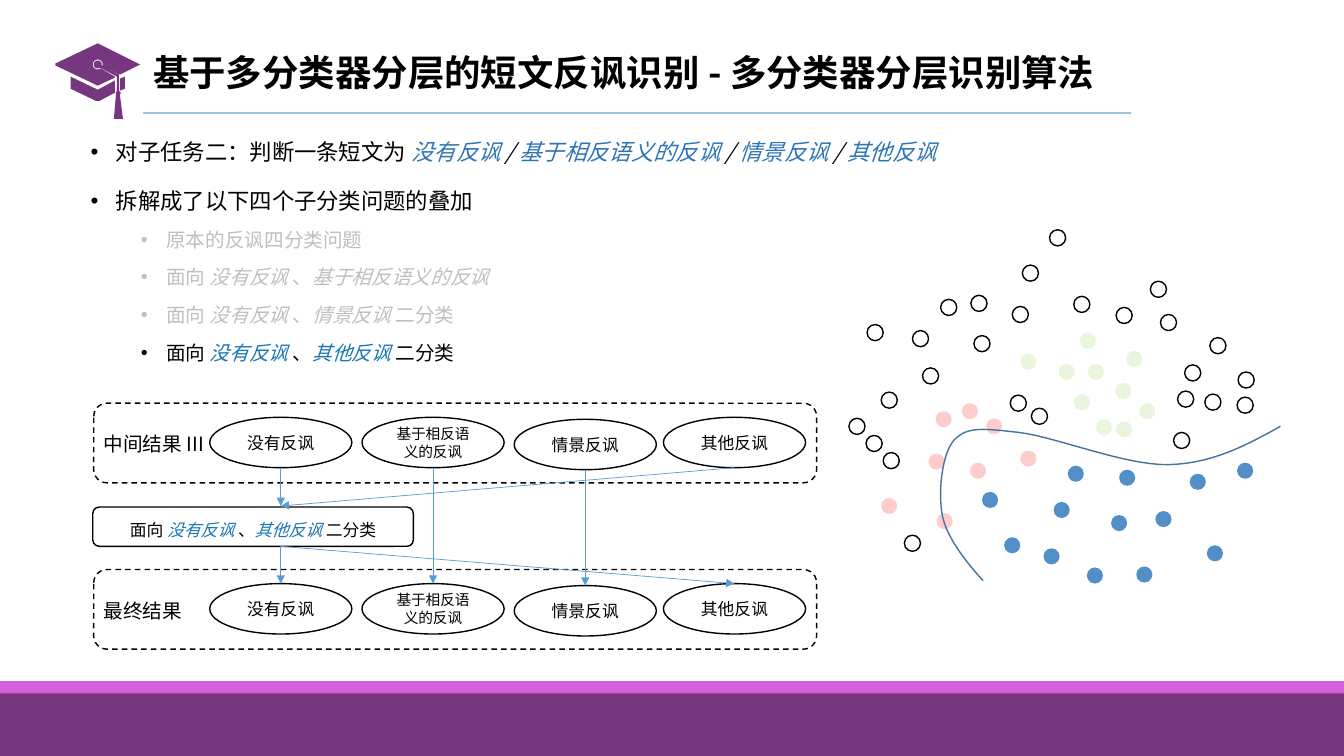
from dataclasses import dataclass
from math import cos, radians, sin

from lxml import etree
from pptx import Presentation
from pptx import util as u
from pptx.dml.color import RGBColor
from pptx.enum import dml, shapes, text
from pptx.oxml.ns import qn


@dataclass(frozen=True)
class Theme:
    font: str = "Noto Sans CJK SC"
    black: str = "000000"
    faded: str = "BFBFBF"
    blue: str = "2E75B6"
    label_blue: str = "1775B3"
    purple: str = "77377E"
    orchid: str = "D661DD"
    rule: str = "9DC3E6"
    arrow: str = "5B9BD5"
    boundary: str = "43739E"
    title: float = 26
    body: float = 16
    sub: float = 14
    node: float = 12
    small: float = 10.5


T = Theme()
WIDTH, HEIGHT = 13.33, 7.5
TITLE = "基于多分类器分层的短文反讽识别 - 多分类器分层识别算法"
# Spans alternate between plain and accented; accents and slashes are italic.
SLASH = "/ "
TASK = ["对子任务二：判断一条短文为 ", "没有反讽 ", SLASH, "基于相反语义的反讽 ", SLASH,
        "情景反讽 ", SLASH, "其他反讽"]
LAST_STEP = ["面向 ", "没有反讽", " 、", "其他反讽 ", "二分类"]
# spans, level, plain colour, accent colour
BULLETS = [
    (TASK, 0, T.black, T.blue),
    (["拆解成了以下四个子分类问题的叠加"], 0, T.black, T.blue),
    (["原本的反讽四分类问题"], 1, T.faded, T.faded),
    (["面向 ", "没有反讽", " 、", "基于相反语义的反讽"], 1, T.faded, T.faded),
    (["面向 ", "没有反讽", " 、", "情景反讽 ", "二分类"], 1, T.faded, T.faded),
    (LAST_STEP, 1, T.black, T.label_blue),
]
CLASSIFIER = ["面向 ", "没有反讽 ", "、", "其他反讽 ", "二分类"]
# label, left, drop below the row's node line, type size
NODES = [("没有反讽", 2.08, 0, T.node), ("基于相反语义的反讽", 3.59, 0, T.small),
         ("情景反讽", 5.1, 0.02, T.node), ("其他反讽", 6.58, 0, T.node)]
NODE_W, NODE_H, NODE_DROP = 1.41, 0.5, 0.14
STAGES = [("中间结果 III", 4.0), ("最终结果", 5.65)]

DOT = 0.16
# fill colour, opacity in percent, top left corners; no colour means an outlined ring
CLUSTERS = [
    ("FF0000", 20, [(9.28, 4.08), (8.74, 4.94), (9.54, 4), (9.21, 4.5), (9.62, 4.59),
                    (9.78, 4.15), (10.12, 4.47), (9.29, 5.09)]),
    ("92D050", 20, [(10.12, 3.51), (10.5, 3.61), (10.65, 3.91), (10.79, 3.61),
                    (10.87, 4.16), (11.06, 3.8), (11.07, 4.18), (10.71, 3.3),
                    (11.17, 3.48), (11.3, 4)]),
    ("528FC7", 100, [(9.74, 4.88), (10.45, 4.98), (10.78, 5.63), (11.46, 5.07),
                     (11.1, 4.66), (10.35, 5.44), (9.96, 5.33), (10.59, 4.62),
                     (11.27, 5.62), (12.27, 4.59), (11.97, 5.41), (11.8, 4.7),
                     (11.02, 5.11)]),
    (None, 100, [(8.42, 4.15), (9.05, 3.28), (8.74, 3.89), (8.59, 4.32), (9.15, 3.65),
                 (9.66, 3.33), (8.97, 5.31), (10.04, 3.04), (8.76, 4.49), (10.02, 3.92),
                 (10.23, 4.05), (10.65, 2.94), (11.07, 3.05), (9.33, 2.97), (8.6, 3.22),
                 (9.63, 2.93), (10.41, 2.28), (11.64, 4.29), (11.68, 3.88),
                 (11.51, 3.12), (11.41, 2.79), (12, 3.35), (11.95, 3.91), (12.28, 3.69),
                 (11.75, 3.62), (12.27, 3.94), (10.14, 2.63)]),
]
# Bezier knots: a start, then two handles and an end per piece
BOUNDARY = [(12.7, 4.23), (12.36, 4.42), (12.02, 4.6), (11.59, 4.61), (11.16, 4.62),
            (10.46, 4.33), (10.1, 4.29), (9.74, 4.25), (9.59, 4.23), (9.46, 4.37),
            (9.34, 4.51), (9.3, 4.9), (9.35, 5.13), (9.4, 5.36), (9.63, 5.63),
            (9.75, 5.76)]


def arc(radius, start, end, steps=14):
    """Points around the button of the cap."""
    angles = [radians(start + (end - start) * i / steps) for i in range(steps + 1)]
    return [(0.97 + radius * cos(a), 0.64 + radius * sin(a)) for a in angles]


CAP = [
    [(1.19, 0.9), (1.24, 0.88), (1.24, 0.76), (1.19, 0.78)],
    [(0.7, 0.76), (0.7, 0.88), (0.95, 1), (0.99, 1), (1.14, 0.92), (1.14, 0.8), (0.97, 0.89)],
    [(1.18, 0.75), (1.18, 0.74), *arc(0.04, 371, 53), (1.16, 0.76)],
    [(1.39, 0.64), (0.97, 0.43), (0.55, 0.63), (0.55, 0.65), (0.97, 0.85), (1.14, 0.77),
     (1.14, 0.76), *arc(0.05, 53, 371), (1.19, 0.74)],
    [(1.18, 0.75), (1.18, 0.9), (1.2, 0.92), (1.19, 0.94), (1.22, 1.18), (1.13, 1.18),
     (1.15, 0.94), (1.15, 0.92), (1.16, 0.9), (1.16, 0.76)],
]

deck = Presentation()
deck.slide_width, deck.slide_height = u.Inches(WIDTH), u.Inches(HEIGHT)
page = deck.slides.add_slide(deck.slide_layouts[6])


def paint(shape, fill=None, line=None, opacity=100):
    shape.shadow.inherit = False
    if fill:
        shape.fill.solid()
        shape.fill.fore_color.rgb = RGBColor.from_string(fill)
        if opacity < 100:
            color = shape.fill._xPr.find(".//" + qn("a:srgbClr"))
            etree.SubElement(color, qn("a:alpha"), val=str(opacity * 1000))
    else:
        shape.fill.background()
    if line:
        shape.line.color.rgb = RGBColor.from_string(line)
        shape.line.width = u.Pt(1)
    else:
        shape.line.fill.background()
    return shape


def add_shape(kind, left, top, width, height, **look):
    box = map(u.Inches, (left, top, width, height))
    return paint(page.shapes.add_shape(kind, *box), **look)


def add_outline(contours, close, **look):
    scaled = [[(u.Inches(x), u.Inches(y)) for x, y in points] for points in contours]
    builder = page.shapes.build_freeform(*scaled[0][0])
    for i, points in enumerate(scaled):
        if i:
            builder.move_to(*points[0])
        builder.add_line_segments(points[1:], close=close)
    return paint(builder.convert_to_shape(), **look)


def write(para, spans, size, plain=T.black, accent=T.blue, bold=False):
    for i, words in enumerate(spans):
        span = para.add_run()
        span.text = words
        font = span.font
        font.size, font.bold = u.Pt(size), bold
        font.italic = i % 2 == 1 or words == SLASH
        font.name = T.font
        font.color.rgb = RGBColor.from_string(accent if i % 2 else plain)
        etree.SubElement(span._r.get_or_add_rPr(), qn("a:ea"), typeface=T.font)


def add_text(left, top, width, height, anchor=text.MSO_ANCHOR.TOP):
    frame = page.shapes.add_textbox(*map(u.Inches, (left, top, width, height))).text_frame
    frame.word_wrap, frame.vertical_anchor = True, anchor
    return frame


def write_centred(shape, spans, size, accent=T.blue):
    frame = shape.text_frame
    frame.word_wrap, frame.vertical_anchor = True, text.MSO_ANCHOR.MIDDLE
    frame.paragraphs[0].alignment = text.PP_ALIGN.CENTER
    write(frame.paragraphs[0], spans, size, accent=accent)
    return frame.paragraphs[0]


def add_line(start, end, color, width, target=None, arrow=True):
    ends = map(u.Inches, (*start, *end))
    line = page.shapes.add_connector(shapes.MSO_CONNECTOR.STRAIGHT, *ends)
    line.line.color.rgb = RGBColor.from_string(color)
    line.line.width = u.Pt(width)
    if arrow:
        etree.SubElement(line.line._get_or_add_ln(), qn("a:tailEnd"), type="triangle")
    etree.SubElement(line._element.spPr, qn("a:effectLst"))
    if target is not None:
        line.end_connect(target, 0)


def bezier(knots, steps=14):
    points = [knots[0]]
    for k in range(0, len(knots) - 1, 3):
        for t in (i / steps for i in range(1, steps + 1)):
            weights = ((1 - t) ** 3, 3 * t * (1 - t) ** 2, 3 * t * t * (1 - t), t ** 3)
            points.append(tuple(sum(w * p[axis] for w, p in zip(weights, knots[k:k + 4]))
                                for axis in (0, 1)))
    return points


KIND = shapes.MSO_SHAPE
add_shape(KIND.RECTANGLE, 0, 6.76, WIDTH, HEIGHT - 6.76, fill=T.purple)
heading = add_text(1.42, 0.37, 10.85, 0.75, text.MSO_ANCHOR.MIDDLE).paragraphs[0]
heading.line_spacing = 0.9
write(heading, [TITLE], T.title, bold=True)
add_outline(CAP, True, fill=T.purple)
add_line((1.42, 1.12), (11.22, 1.12), T.rule, 1.5, arrow=False)

body = add_text(0.8, 1.24, 11.15, 5.35)
for i, (spans, level, plain, accent) in enumerate(BULLETS):
    para = body.add_paragraph() if i else body.paragraphs[0]
    para.level, para.line_spacing = level, 1.3
    if i:
        para.space_before = u.Pt(5 if level else 10)
    props = para._p.get_or_add_pPr()
    props.set("marL", str(u.Inches(0.75 if level else 0.25)))
    props.set("indent", str(u.Inches(-0.25)))
    etree.SubElement(props, qn("a:buFont"), typeface="Arial")
    etree.SubElement(props, qn("a:buChar"), char="•")
    write(para, spans, T.sub if level else T.body, plain, accent)

for color, opacity, corners in CLUSTERS:
    for left, top in corners:
        add_shape(KIND.OVAL, left, top, DOT, DOT, fill=color, opacity=opacity,
                  line=None if color else T.black)

stage_nodes = []
for label, top in STAGES:
    frame = add_shape(KIND.ROUNDED_RECTANGLE, 0.93, top, 7.17, 0.79, line=T.black)
    frame.line.dash_style = dml.MSO_LINE.DASH
    write(add_text(0.93, top + 0.24, 1.36, 0.34).paragraphs[0], [label], T.sub)
    stage_nodes.append([])
    for name, left, drop, size in NODES:
        node = add_shape(KIND.OVAL, left, top + NODE_DROP + drop, NODE_W, NODE_H, line=T.black)
        write_centred(node, [name], size)
        stage_nodes[-1].append(node)

classifier = add_shape(KIND.ROUNDED_RECTANGLE, 0.92, 5.03, 3.18, 0.39, line=T.black)
write_centred(classifier, CLASSIFIER, T.node, T.label_blue).line_spacing = 1.3

middles = [left + NODE_W / 2 for _, left, _, _ in NODES]
bottom = STAGES[0][1] + NODE_DROP + NODE_H
for i, (middle, final) in enumerate(zip(middles, stage_nodes[1])):
    outer = i in (0, 3)
    start = (middles[0], 5.42) if outer else (middle, bottom + NODES[i][2])
    add_line(start, (middle, 5.79), T.arrow, 0.5, target=final)
    if outer:
        add_line((middle, bottom), (middles[0], 5.02), T.arrow, 0.5)

add_outline([bezier(BOUNDARY)], False, line=T.boundary)
add_shape(KIND.RECTANGLE, 0, 6.76, WIDTH, 0.12, fill=T.orchid)

deck.save("out.pptx")
